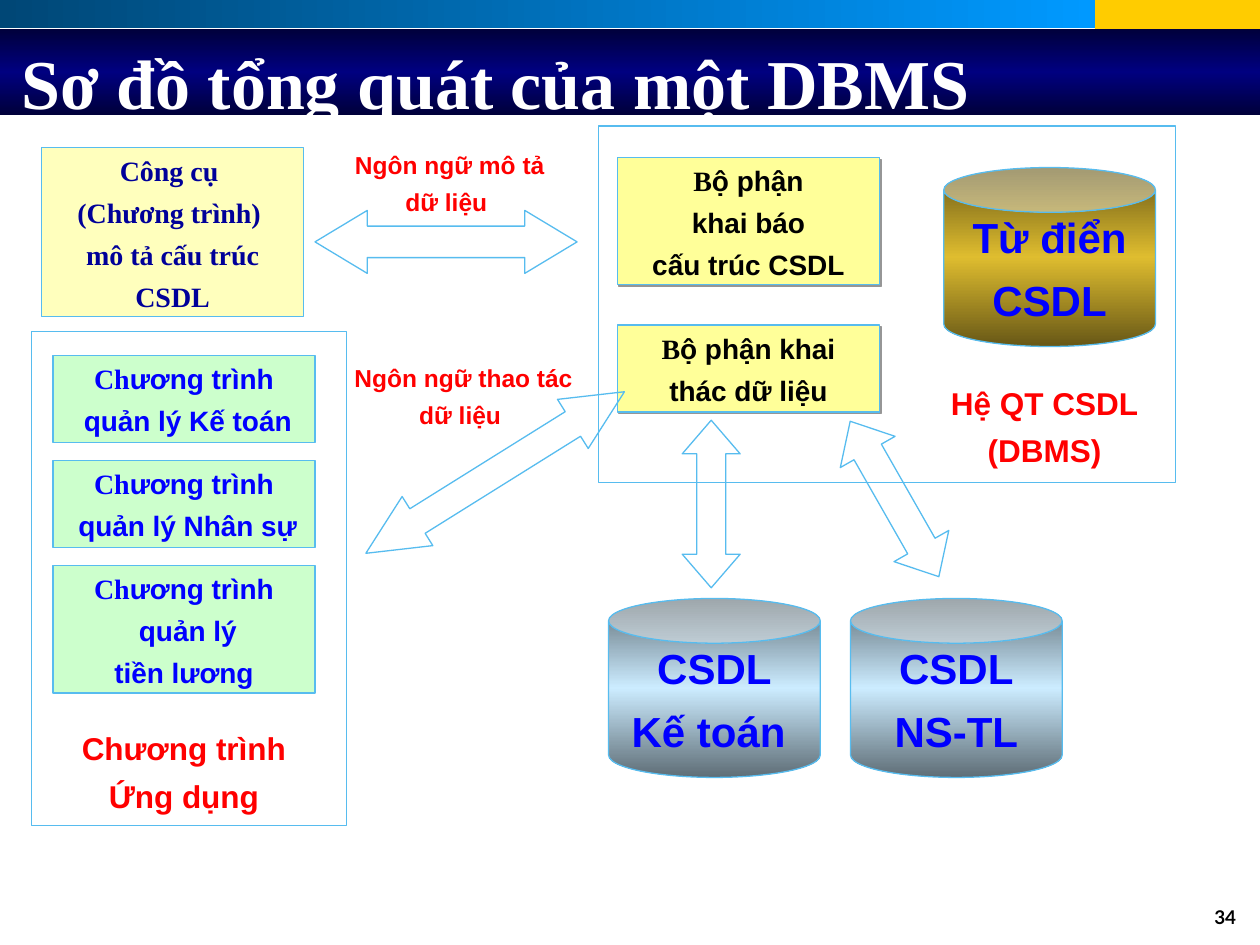
import pptx
import pptx.util
import pptx.dml.color
import pptx.enum.shapes
import pptx.enum.text
import pptx.oxml
import pptx.oxml.ns

Inches = pptx.util.Inches
Pt = pptx.util.Pt
SHAPES = pptx.enum.shapes.MSO_SHAPE
ANCHOR = pptx.enum.text.MSO_ANCHOR
ALIGN = pptx.enum.text.PP_ALIGN

COLOURS = {
    "white": "FFFFFF", "black": "000000", "amber": "FFCC00",
    "teal": "004776", "sky": "0099FF", "midnight": "00003B", "navy": "000080",
    "outline": "57BCEF", "cream": "FFFFBD", "mint": "CCFFCC", "yellow": "FFFF99",
    "ink": "000099", "blue": "0000FF", "red": "FF0000", "shadow": "969696",
    "bronze": "675716", "gold": "DFBD2F", "slate": "5E6D76", "ice": "CCECFF",
}
SERIF, SANS = "Times New Roman", "Arial"

TITLE = "Sơ đồ tổng quát của một DBMS"
PAGE_NUMBER = "34"

BANDS = [
    ((8.69, 0, 1.31, 0.28), "amber"),
    ((0, 0, 8.69, 0.22), (0, "teal", "sky")),
    ((0, 0.23, 10, 0.68), (90, "midnight", "navy", "midnight")),
    ((7.58, 6.74, 2.33, 0.5), "white"),
]

TOOL_LINES = ["Công cụ ", "(Chương trình) ", "mô tả cấu trúc", "CSDL"]

APPLICATIONS = [
    ("Ch", ["ương trình", " quản lý Kế toán"]),
    ("Ch", ["ương trình", " quản lý Nhân sự"]),
    ("Ch", ["ương trình", " quản lý", "tiền lương"]),
]

ENGINE_PARTS = [
    (1.25, "B", ["ộ phận", "khai báo", "cấu trúc CSDL"]),
    (2.58, "B", ["ộ phận khai", "thác dữ liệu"]),
]

GOLD_CAN = (90, "bronze", "gold", "bronze")
BLUE_CAN = (90, "slate", "ice", "slate")
DATABASES = [
    ((7.49, 1.33), GOLD_CAN, ["Từ điển", "CSDL"]),
    ((4.83, 4.75), BLUE_CAN, ["CSDL", "Kế toán "]),
    ((6.75, 4.75), BLUE_CAN, ["CSDL", "NS-TL"]),
]

FRAMES = [(0.25, 2.63, 2.5, 3.92), (4.75, 1, 4.58, 2.83)]

ARROWS = [
    ((2.5, 1.67, 2.08, 0.5), 0, 0.83),
    ((4.98, 3.77, 1.33, 0.46), 270, 0.58),
    ((6.39, 3.71, 1.42, 0.5), 240.3, 0.56),
    ((2.72, 3.52, 2.42, 0.46), 148, 1.05),
]

LABELS = [
    ((2.3, 1.14, 2.54, 0.62), 14, False, ["Ngôn ngữ mô tả", "dữ liệu "]),
    ((2.3, 2.83, 2.76, 0.62), 14, False, ["Ngôn ngữ thao tác", "dữ liệu "]),
    ((0.5, 5.74, 1.92, 0.77), 18, True, ["Chương trình", "Ứng dụng"]),
    ((7.33, 3, 1.92, 0.77), 18, True, ["Hệ QT CSDL", "(DBMS)"]),
]

BOX_WIDTH = 2.08
BOX_HEIGHTS = {2: 0.69, 3: 1.01, 4: 1.34}
APPLICATION_GAP = 0.145


def rgb(name):
    return pptx.dml.color.RGBColor.from_string(COLOURS[name])


def apply(target, values):
    for key, value in values.items():
        setattr(target, key, value)


def paint(shape, fill):
    if fill is None:
        shape.fill.background()
    elif isinstance(fill, str):
        shape.fill.solid()
        shape.fill.fore_color.rgb = rgb(fill)
    else:
        angle, *names = fill
        shape.fill.gradient()
        shape.fill.gradient_angle = angle
        stops = shape._element.spPr.find(".//" + pptx.oxml.ns.qn("a:gsLst"))
        for stop in list(stops):
            stops.remove(stop)
        for index, name in enumerate(names):
            position = round(index * 100000 / (len(names) - 1))
            stops.append(pptx.oxml.parse_xml(
                f'<a:gs {pptx.oxml.ns.nsdecls("a")} pos="{position}">'
                f'<a:srgbClr val="{COLOURS[name]}"/></a:gs>'))


def add_figure(kind, at, fill=None, outline="outline"):
    shape = slide.shapes.add_shape(kind, *map(Inches, at))
    shape.shadow.inherit = False
    paint(shape, fill)
    if outline:
        shape.line.color.rgb = rgb(outline)
        shape.line.width = Pt(0.75)
    else:
        shape.line.fill.background()
    return shape


def cast_shadow(shape):
    effects = shape._element.spPr.find(pptx.oxml.ns.qn("a:effectLst"))
    effects.append(pptx.oxml.parse_xml(
        f'<a:outerShdw {pptx.oxml.ns.nsdecls("a")} dist="{Pt(1.4)}" dir="2700000">'
        f'<a:srgbClr val="{COLOURS["shadow"]}"/></a:outerShdw>'))


def write(shape, lines, size, colour, font=SANS, initial="",
          anchor=ANCHOR.TOP, wrap=True, align=ALIGN.CENTER):
    frame = shape.text_frame
    apply(frame, {"word_wrap": wrap, "vertical_anchor": anchor,
                  "margin_left": Inches(0.1), "margin_right": Inches(0.1),
                  "margin_top": Inches(0.05), "margin_bottom": Inches(0.05)})
    for index, line in enumerate(lines):
        paragraph = frame.add_paragraph() if index else frame.paragraphs[0]
        paragraph.alignment = align
        paragraph.space_before = Pt(round(size * 0.3, 1) if index else 0)
        pieces = [(line, font)]
        if initial and index == 0:
            pieces.insert(0, (initial, SERIF))
        for text, face in pieces:
            run = paragraph.add_run()
            run.text = text
            apply(run.font, {"name": face, "size": Pt(size), "bold": True})
            run.font.color.rgb = rgb(colour)
    return frame


deck = pptx.Presentation()
apply(deck, {"slide_width": Inches(10), "slide_height": Inches(7.5)})
slide = deck.slides.add_slide(deck.slide_layouts[5])

for at, fill in BANDS:
    add_figure(SHAPES.RECTANGLE, at, fill, None)

page = slide.shapes.add_textbox(*map(Inches, (7.58, 7.17, 2.33, 0.32)))
page_frame = write(page, [PAGE_NUMBER], 10.8, "black", "Lato", align=ALIGN.RIGHT)
page_frame.paragraphs[0].line_spacing = 0.8

title = slide.shapes.title
apply(title, dict(zip(("left", "top", "width", "height"),
                      map(Inches, (0.07, 0.21, 8.79, 0.67)))))
title_frame = write(title, [TITLE], 40, "white", SERIF, align=ALIGN.LEFT)
apply(title_frame, {"margin_top": Inches(0.1), "margin_bottom": 0,
                    "auto_size": pptx.enum.text.MSO_AUTO_SIZE.NONE})
slide.shapes._spTree.append(title._element)

tool = add_figure(SHAPES.RECTANGLE, (0.33, 1.17, BOX_WIDTH, BOX_HEIGHTS[4]), "cream")
write(tool, TOOL_LINES, 16, "ink", SERIF)

top = 2.82
for initial, lines in APPLICATIONS:
    height = BOX_HEIGHTS[len(lines)]
    application = add_figure(SHAPES.RECTANGLE, (0.42, top, BOX_WIDTH, height), "mint")
    write(application, lines, 16, "blue", initial=initial)
    top += height + APPLICATION_GAP

for top, initial, lines in ENGINE_PARTS:
    part = add_figure(SHAPES.RECTANGLE,
                      (4.9, top, BOX_WIDTH, BOX_HEIGHTS[len(lines)]), "yellow")
    cast_shadow(part)
    write(part, lines, 16, "black", initial=initial)

for corner, fill, lines in DATABASES:
    database = add_figure(SHAPES.CAN, (*corner, 1.68, 1.42), fill)
    database.adjustments[0] = 0.25
    write(database, lines, 24, "blue", anchor=ANCHOR.MIDDLE, wrap=False)

for at in FRAMES:
    add_figure(SHAPES.RECTANGLE, at)

for at, rotation, head in ARROWS:
    arrow = add_figure(SHAPES.LEFT_RIGHT_ARROW, at)
    arrow.rotation = rotation
    arrow.adjustments[0] = 0.5
    arrow.adjustments[1] = head

for at, size, wrap, lines in LABELS:
    label = slide.shapes.add_textbox(*map(Inches, at))
    write(label, lines, size, "red", wrap=wrap)

deck.save("out.pptx")
